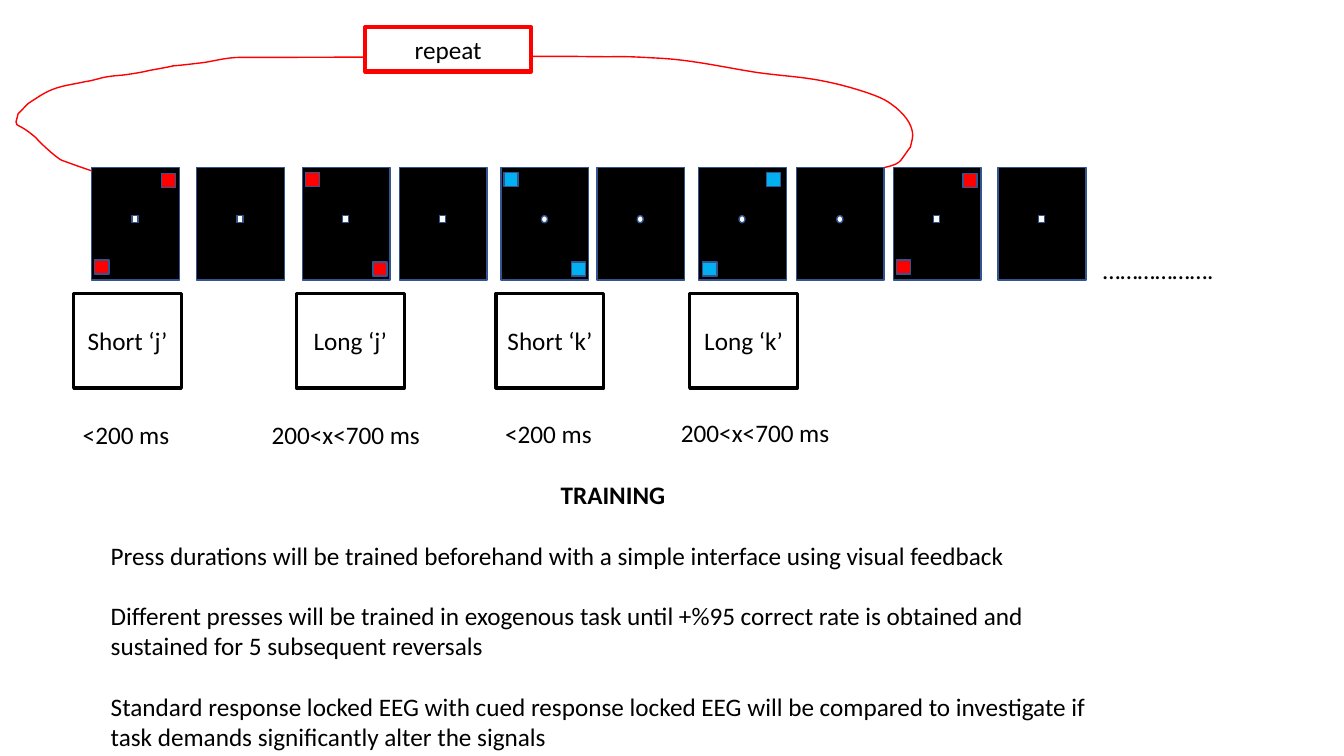
from dataclasses import dataclass

from lxml.etree import SubElement
from pptx import Presentation
from pptx.dml.color import RGBColor
from pptx.enum.shapes import MSO_SHAPE
from pptx.enum.text import MSO_ANCHOR, PP_ALIGN
from pptx.oxml.ns import qn
from pptx.util import Pt

EMU_PER_PX = 9144
RECTANGLE, CIRCLE = MSO_SHAPE.RECTANGLE, MSO_SHAPE.OVAL


@dataclass(frozen=True)
class Theme:
    """Colours, type sizes and line widths of the slide."""

    font: str = "Calibri"
    text_size: int = 18
    note_gap: float = 21.5
    ink: RGBColor = RGBColor.from_string("000000")
    paper: RGBColor = RGBColor.from_string("FFFFFF")
    red: RGBColor = RGBColor.from_string("FF0000")
    blue: RGBColor = RGBColor.from_string("00B0F0")
    outline: RGBColor = RGBColor.from_string("325491")
    thin: float = 1
    medium: float = 2.25
    thick: float = 3


THEME = Theme()

SCREEN_TOP, SCREEN_SIZE = 166, (87, 112)
RISING = ((3, 92), (69, 6))
RISING_INSET = ((4, 94), (67, 5))
FALLING = ((70, 94), (3, 5))
SCREENS = [
    (91, RECTANGLE, THEME.red, RISING),
    (195, RECTANGLE, None, ()),
    (300, RECTANGLE, THEME.red, FALLING),
    (396, RECTANGLE, None, ()),
    (497, CIRCLE, THEME.blue, FALLING),
    (592, CIRCLE, None, ()),
    (693, CIRCLE, THEME.blue, RISING_INSET),
    (790, CIRCLE, None, ()),
    (886, RECTANGLE, THEME.red, RISING),
    (990, RECTANGLE, None, ()),
]

PRESSES = [
    ("Short ‘j’", 73, "<200 ms", (42, 391, 166, 79)),
    ("Long ‘j’", 294, "200<x<700 ms", (243, 391, 200, 79)),
    ("Short ‘k’", 492, "<200 ms", (461, 390, 166, 79)),
    ("Long ‘k’", 684, "200<x<700 ms", (649, 389, 200, 79)),
]

LOOP_START = (865, 167)
LOOP_CURVES = [
    ((866, 167), (868, 168), (870, 168)),
    ((896, 162), (890, 163), (903, 146)),
    ((904, 141), (906, 136), (905, 131)),
    ((903, 119), (892, 108), (879, 100)),
    ((867, 93), (838, 85), (824, 82)),
    ((797, 76), (780, 76), (751, 72)),
    ((719, 67), (689, 60), (657, 58)),
    ((604, 55), (633, 57), (570, 56)),
    ((459, 56), (349, 57), (238, 57)),
    ((226, 57), (215, 60), (203, 62)),
    ((137, 70), (204, 60), (148, 70)),
    ((140, 72), (133, 73), (126, 74)),
    ((120, 75), (114, 75), (108, 76)),
    ((100, 77), (93, 80), (85, 81)),
    ((67, 85), (56, 85), (40, 95)),
    ((23, 106), (31, 100), (18, 113)),
    ((14, 130), (13, 117), (36, 137)),
    ((37, 139), (55, 156), (61, 159)),
    ((64, 160), (88, 169), (96, 171)),
    ((98, 172), (100, 172), (101, 172)),
]

TRAINING_NOTES = [
    "Press durations will be trained beforehand with a simple interface using visual feedback",
    "Different presses will be trained in exogenous task until +%95 correct rate is obtained "
    "and sustained for 5 subsequent reversals",
    "Standard response locked EEG with cued response locked EEG will be compared to "
    "investigate if task demands significantly alter the signals",
]


def px(length):
    """Turn px into EMU."""
    return length * EMU_PER_PX


def set_values(target, values):
    """Set attributes from a dict of format values."""
    for name, value in values.items():
        setattr(target, name, value)


def style_shape(shape, fill, line, width):
    """Give a shape its fill and outline and drop its shadow."""
    shape.shadow.inherit = False
    if fill is None:
        shape.fill.background()
    else:
        shape.fill.solid()
        shape.fill.fore_color.rgb = fill
    shape.line.color.rgb = line
    shape.line.width = Pt(width)


def write_paragraph(paragraph, text, align, bold=False, space_before=0):
    """Write one formatted run into a paragraph."""
    set_values(paragraph, {"alignment": align, "space_before": Pt(space_before)})
    run = paragraph.add_run()
    run.text = text
    set_values(run.font, {"name": THEME.font, "size": Pt(THEME.text_size), "bold": bold})
    run.font.color.rgb = THEME.ink


def add_figure(slide, kind, box, fill, line=THEME.outline, width=THEME.thin):
    """Add a styled preset shape."""
    shape = slide.shapes.add_shape(kind, *map(px, box))
    style_shape(shape, fill, line, width)
    return shape


def add_label_box(slide, text, box, fill, line, width):
    """Add an outlined rectangle with a centred label."""
    shape = add_figure(slide, RECTANGLE, box, fill, line, width)
    margins = {"margin_left": px(5), "margin_right": px(5)}
    set_values(shape.text_frame, {"word_wrap": True, "vertical_anchor": MSO_ANCHOR.MIDDLE, **margins})
    write_paragraph(shape.text_frame.paragraphs[0], text, PP_ALIGN.CENTER)


def add_text(slide, text, box, align, anchor=MSO_ANCHOR.MIDDLE, bold=False):
    """Add a wrapping text box and return its frame."""
    frame = slide.shapes.add_textbox(*map(px, box)).text_frame
    set_values(frame, {"word_wrap": True, "vertical_anchor": anchor})
    write_paragraph(frame.paragraphs[0], text, align, bold)
    return frame


def add_screen(slide, left, fixation, colour, targets):
    """Add a stimulus screen with its targets and fixation mark."""
    add_figure(slide, RECTANGLE, (left, SCREEN_TOP, *SCREEN_SIZE), THEME.ink)
    for x, y in targets:
        add_figure(slide, RECTANGLE, (left + x, SCREEN_TOP + y, 14, 14), colour)
    add_figure(slide, fixation, (left + 40, SCREEN_TOP + 48, 6, 7), THEME.paper)


def add_loop(slide):
    """Add the open curve that leads back to the first screen."""
    builder = slide.shapes.build_freeform(*LOOP_START, scale=EMU_PER_PX)
    builder.add_line_segments([curve[-1] for curve in LOOP_CURVES], close=False)
    loop = builder.convert_to_shape()
    left, top = loop.left // EMU_PER_PX, loop.top // EMU_PER_PX
    for segment, curve in zip(list(loop.element.iter(qn("a:lnTo"))), LOOP_CURVES):
        segment.tag = qn("a:cubicBezTo")
        segment.remove(segment[0])
        for x, y in curve:
            SubElement(segment, qn("a:pt"), x=str(x - left), y=str(y - top))
    style_shape(loop, None, THEME.red, THEME.thin)


def main():
    """Build the slide and save it."""
    presentation = Presentation()
    set_values(presentation, {"slide_width": px(1333), "slide_height": px(750)})
    slide = presentation.slides.add_slide(presentation.slide_layouts[6])

    add_loop(slide)
    add_label_box(slide, "repeat", (362, 27, 165, 44), THEME.paper, THEME.red, THEME.thick)
    for screen in SCREENS:
        add_screen(slide, *screen)
    add_text(slide, "……………….", (1084, 226, 318, 82), PP_ALIGN.LEFT)

    for press, left, duration, duration_box in PRESSES:
        add_label_box(slide, press, (left, 291, 107, 94), None, THEME.ink, THEME.medium)
        add_text(slide, duration, duration_box, PP_ALIGN.CENTER)

    training = add_text(slide, "TRAINING", (100, 471, 1016, 240), PP_ALIGN.CENTER, MSO_ANCHOR.TOP, True)
    for note in TRAINING_NOTES:
        write_paragraph(training.add_paragraph(), note, PP_ALIGN.LEFT, space_before=THEME.note_gap)

    presentation.save("out.pptx")


if __name__ == "__main__":
    main()
